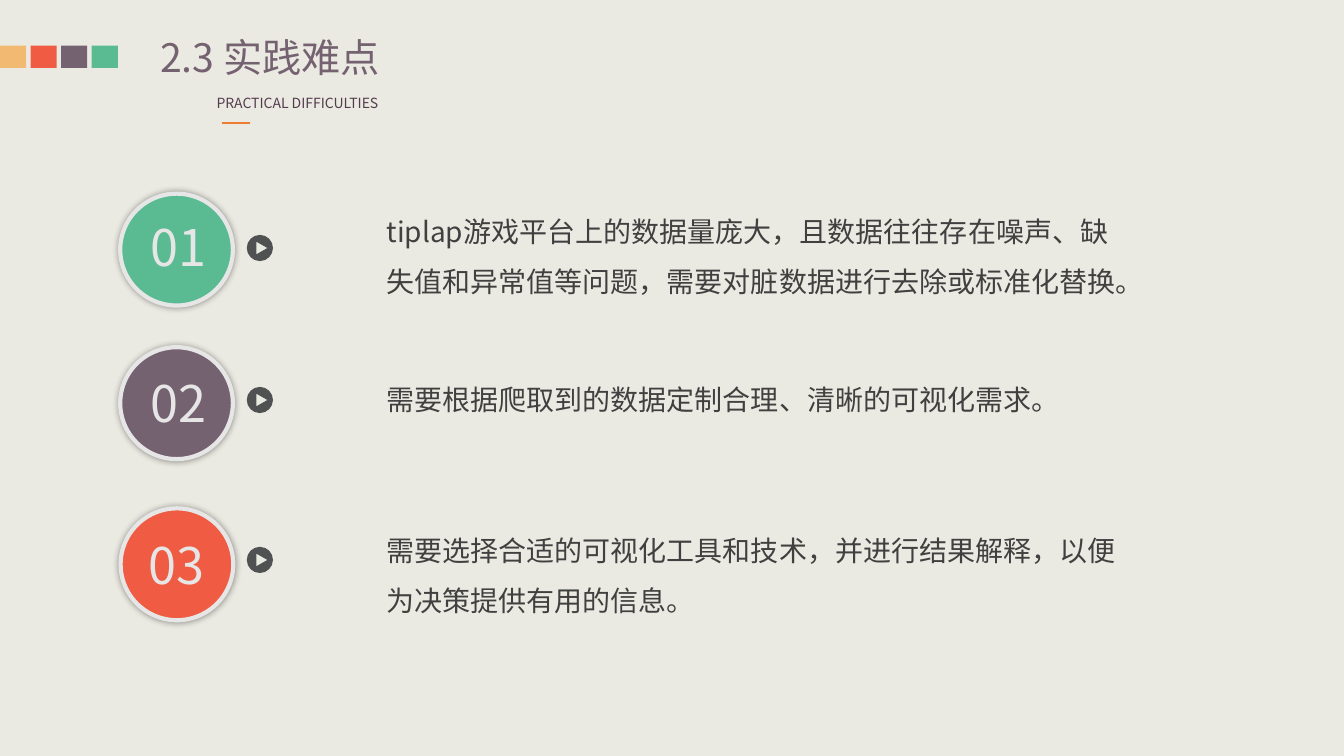
import pptx
import pptx.dml.color
import pptx.enum.shapes
import pptx.enum.text
import pptx.oxml.ns
import pptx.util
from lxml import etree
from pptx.util import Cm

FONT = "Noto Sans CJK SC"
GREEN, PURPLE, RED, SAND = "5ABB93", "756271", "EF5B43", "F2B973"
PALE, DARK, BODY = "E7E6E6", "505153", "404040"
qn = pptx.oxml.ns.qn

# Number, colour, circle left and top, number left and top, marker centre,
# text top and height (cm), line spacing, text
DIFFICULTIES = [
    ("01", GREEN, 3.03, 4.88, 3.48, 5.33, 6.25, 4.85, 2.67, 1.5,
     "tiplap游戏平台上的数据量庞大，且数据往往存在噪声、缺失值和异常值等问题，需要对脏数据进行去除或标准化替换。"),
    ("02", PURPLE, 3.03, 8.75, 3.49, 9.26, 10.08, 9.51, 1.12, None,
     "需要根据爬取到的数据定制合理、清晰的可视化需求。"),
    ("03", RED, 3.04, 12.81, 3.43, 13.34, 14.11, 12.89, 2.67, 1.5,
     "需要选择合适的可视化工具和技术，并进行结果解释，以便为决策提供有用的信息。"),
]


def rgb(value):
    return pptx.dml.color.RGBColor.from_string(value)


def fill_plain(shape, color):
    shape.fill.solid()
    shape.fill.fore_color.rgb = rgb(color)
    shape.line.fill.background()
    shape.shadow.inherit = False


def add_label(slide, text, left, top, width, height, size, color,
              centred=False, spacing=None, wrap=True, inset=True):
    label = slide.shapes.add_textbox(Cm(left), Cm(top), Cm(width), Cm(height))
    frame = label.text_frame
    frame.word_wrap = wrap
    frame.auto_size = pptx.enum.text.MSO_AUTO_SIZE.SHAPE_TO_FIT_TEXT
    if not inset:
        frame.margin_left = frame.margin_right = 0
        frame.margin_top = frame.margin_bottom = 0
    paragraph = frame.paragraphs[0]
    paragraph.text = text
    if centred:
        paragraph.alignment = pptx.enum.text.PP_ALIGN.CENTER
    if spacing:
        paragraph.line_spacing = spacing
    paragraph.font.size = pptx.util.Pt(size)
    paragraph.font.color.rgb = rgb(color)
    paragraph.font.name = FONT
    # Chinese characters take their font from a:ea
    defaults = paragraph._p.get_or_add_pPr().find(qn("a:defRPr"))
    etree.SubElement(defaults, qn("a:ea"), typeface=FONT)


def add_square(slide, left, color):
    square = slide.shapes.add_shape(
        pptx.enum.shapes.MSO_SHAPE.RECTANGLE, Cm(left), Cm(1.15), Cm(0.66), Cm(0.56))
    fill_plain(square, color)


def add_rule(slide, left, right, y, color):
    rule = slide.shapes.add_connector(
        pptx.enum.shapes.MSO_CONNECTOR.STRAIGHT, Cm(left), Cm(y), Cm(right), Cm(y))
    rule.line.color.rgb = rgb(color)
    rule.line.width = pptx.util.Pt(1.5)
    etree.SubElement(rule._element.spPr, qn("a:effectLst"))


def add_badge(slide, left, top, color):
    badge = slide.shapes.add_shape(
        pptx.enum.shapes.MSO_SHAPE.OVAL, Cm(left), Cm(top), Cm(2.84), Cm(2.82))
    fill_plain(badge, color)
    badge.line.color.rgb = rgb(PALE)
    badge.line.width = pptx.util.Pt(3)
    # Soft shadow all round
    effects = badge._element.spPr.find(qn("a:effectLst"))
    glow = etree.SubElement(effects, qn("a:outerShdw"), blurRad="63500",
                            dist="0", dir="0", algn="ctr", rotWithShape="0")
    black = etree.SubElement(glow, qn("a:srgbClr"), val="000000")
    etree.SubElement(black, qn("a:alpha"), val="40000")


def add_play_marker(slide, x, y, radius=0.33):
    """Disc with a triangular hole that points right."""
    quarters = [(1, 0), (0, 1), (-1, 0), (0, -1), (1, 0)]
    disc = [(Cm(x + radius * dx), Cm(y + radius * dy)) for dx, dy in quarters]
    hole = [(Cm(x + dx), Cm(y + dy)) for dx, dy in ((0.19, 0), (-0.09, -0.16), (-0.09, 0.16))]
    builder = slide.shapes.build_freeform(*disc[0])
    builder.add_line_segments(disc[1:], close=True)
    builder.move_to(*hole[0])
    builder.add_line_segments(hole[1:], close=True)
    marker = builder.convert_to_shape()
    fill_plain(marker, DARK)
    # Round the four sides of the disc into quarter circles
    sides = list(marker._element.spPr.iter(qn("a:lnTo")))[:4]
    for side, (ax, ay), (bx, by) in zip(sides, quarters, quarters[1:]):
        side.tag = qn("a:cubicBezTo")
        handles = [(ax + 0.55 * bx, ay + 0.55 * by), (bx + 0.55 * ax, by + 0.55 * ay)]
        for position, (hx, hy) in enumerate(handles):
            point = etree.Element(qn("a:pt"), x=str(Cm(radius * (1 + hx))),
                                  y=str(Cm(radius * (1 + hy))))
            side.insert(position, point)


def main():
    deck = pptx.Presentation()
    deck.slide_width, deck.slide_height = Cm(33.87), Cm(19.05)
    slide = deck.slides.add_slide(deck.slide_layouts[6])
    slide.background.fill.solid()
    slide.background.fill.fore_color.rgb = rgb("EBEAE2")

    # Heading
    for index, color in enumerate((SAND, RED, PURPLE, GREEN)):
        add_square(slide, index * 0.77, color)
    add_label(slide, "2.3 实践难点", 4.04, 0.84, 10.13, 1.19, 28, PURPLE, inset=False)
    add_label(slide, "PRACTICAL DIFFICULTIES", 5.21, 2.26, 4.83, 0.69, 10, "543C4F", wrap=False)
    add_rule(slide, 5.59, 6.3, 3.1, "ED7D31")

    # Numbered difficulties
    for (number, color, badge_left, badge_top, number_left, number_top,
         marker_y, text_top, text_height, spacing, text) in DIFFICULTIES:
        add_badge(slide, badge_left, badge_top, color)
        add_label(slide, number, number_left, number_top, 2.03, 1.73, 36, PALE, centred=True)
        add_play_marker(slide, 6.55, marker_y)
        add_label(slide, text, 9.49, text_top, 19.28, text_height, 20, BODY, spacing=spacing)

    deck.save("out.pptx")


if __name__ == "__main__":
    main()
